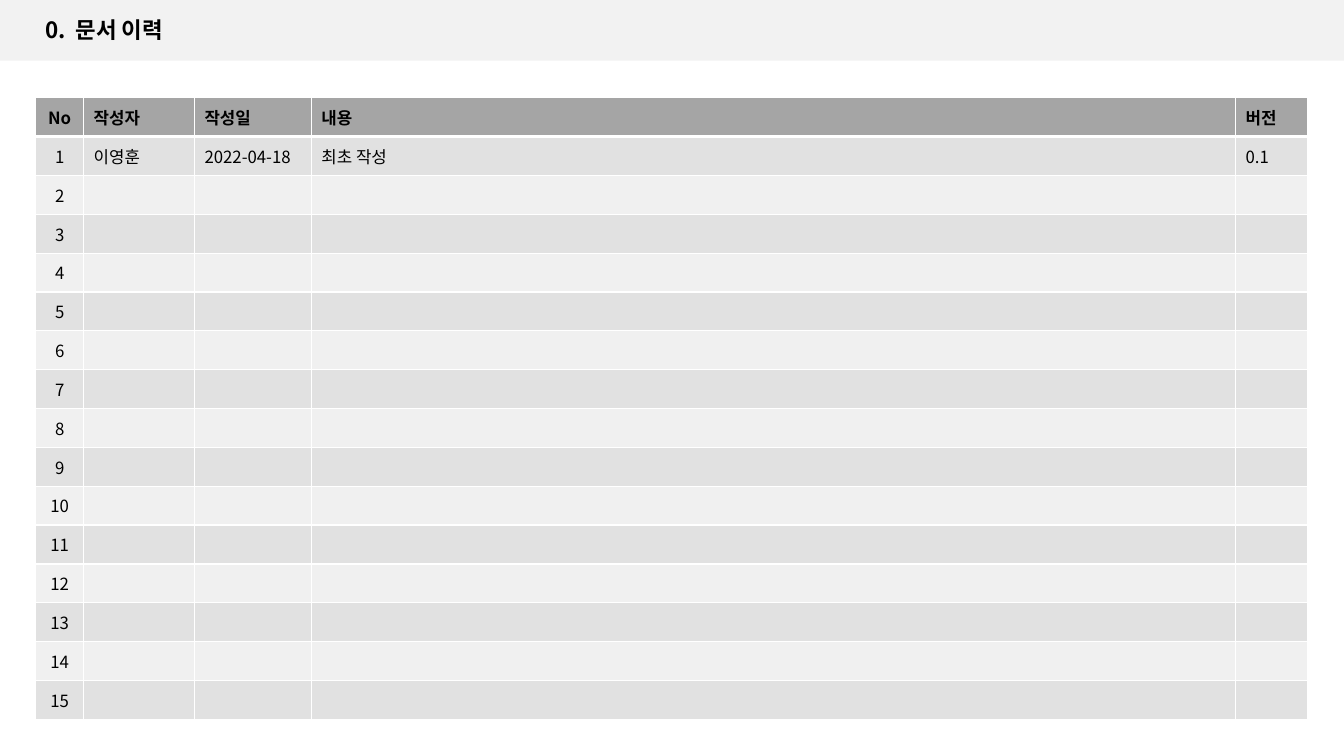
from lxml import etree
from pptx import Presentation
from pptx.dml.color import RGBColor
from pptx.enum import shapes, text
from pptx.oxml import ns
from pptx.util import Pt

# Content: title runs carry extra letter spacing in hundredths of a point
TITLE = [("0.", 0), (" ", 360), ("문서 이력", 0)]
HEADER = ["No", "작성자", "작성일", "내용", "버전"]
ENTRIES = [["이영훈", "2022-04-18", "최초 작성", "0.1"]]
ENTRY_COUNT = 15

FONT = "Noto Sans CJK KR"
COLORS = {"band": "F2F2F2", "text": "000000", "border": "FFFFFF",
          "header": "A5A5A5", "odd": "E1E1E1", "even": "F0F0F0"}

# Layout in points
SLIDE_W, SLIDE_H = 960, 540
COLUMN_WIDTHS = [34.2, 79.2, 83.5, 660.2, 51.5]
ROW_HEIGHT = 27.77
TABLE_LEFT, TABLE_TOP = 25.5, 69.8


def paint(fill, color):
    fill.solid()
    fill.fore_color.rgb = RGBColor.from_string(COLORS[color])


def add_run(paragraph, words, size, bold):
    run = paragraph.add_run()
    run.text = words
    font = run.font
    font.size, font.bold, font.name = Pt(size), bold, FONT
    font.color.rgb = RGBColor.from_string(COLORS["text"])
    props = run._r.get_or_add_rPr()
    etree.SubElement(props, ns.qn("a:ea"), typeface=FONT)
    return props


def add_borders(cell, bottom):
    props = cell._tc.get_or_add_tcPr()
    for side, width in (("L", 1), ("R", 1), ("T", 1), ("B", bottom)):
        line = etree.SubElement(props, ns.qn("a:ln" + side), w=str(Pt(width)))
        fill = etree.SubElement(line, ns.qn("a:solidFill"))
        etree.SubElement(fill, ns.qn("a:srgbClr"), val=COLORS["border"])


prs = Presentation()
prs.slide_width, prs.slide_height = Pt(SLIDE_W), Pt(SLIDE_H)
slide = prs.slides.add_slide(prs.slide_layouts[6])

# Title band
band = slide.shapes.add_shape(shapes.MSO_SHAPE.RECTANGLE, 0, 0, Pt(SLIDE_W), Pt(43.4))
band.shadow.inherit = False
paint(band.fill, "band")
band.line.fill.background()

# Title
title = slide.shapes.add_textbox(Pt(25.2), Pt(7.9), Pt(152), Pt(26.6)).text_frame
title.word_wrap = True
title.vertical_anchor = text.MSO_ANCHOR.MIDDLE
for words, spacing in TITLE:
    props = add_run(title.paragraphs[0], words, 16, True)
    if spacing:
        props.set("spc", str(spacing))

# Revision history table
rows = [HEADER]
for number in range(1, ENTRY_COUNT + 1):
    entry = ENTRIES[number - 1] if number <= len(ENTRIES) else [""] * (len(HEADER) - 1)
    rows.append([str(number)] + entry)

history = slide.shapes.add_table(
    len(rows), len(HEADER), Pt(TABLE_LEFT), Pt(TABLE_TOP),
    Pt(sum(COLUMN_WIDTHS)), Pt(ROW_HEIGHT * len(rows))).table
for column, width in zip(history.columns, COLUMN_WIDTHS):
    column.width = Pt(width)

for r, row in enumerate(rows):
    history.rows[r].height = Pt(ROW_HEIGHT)
    is_header = r == 0
    shade = "header" if is_header else ("odd" if r % 2 else "even")
    for c, words in enumerate(row):
        cell = history.cell(r, c)
        add_borders(cell, 3 if is_header else 1)
        paint(cell.fill, shade)
        cell.vertical_anchor = text.MSO_ANCHOR.MIDDLE
        paragraph = cell.text_frame.paragraphs[0]
        if c == 0:
            paragraph.alignment = text.PP_ALIGN.CENTER
        if words:
            add_run(paragraph, words, 12, is_header)
        else:
            # Keep empty cells from stretching the row
            etree.SubElement(paragraph._p, ns.qn("a:endParaRPr"), sz="1200")

prs.save("out.pptx")
